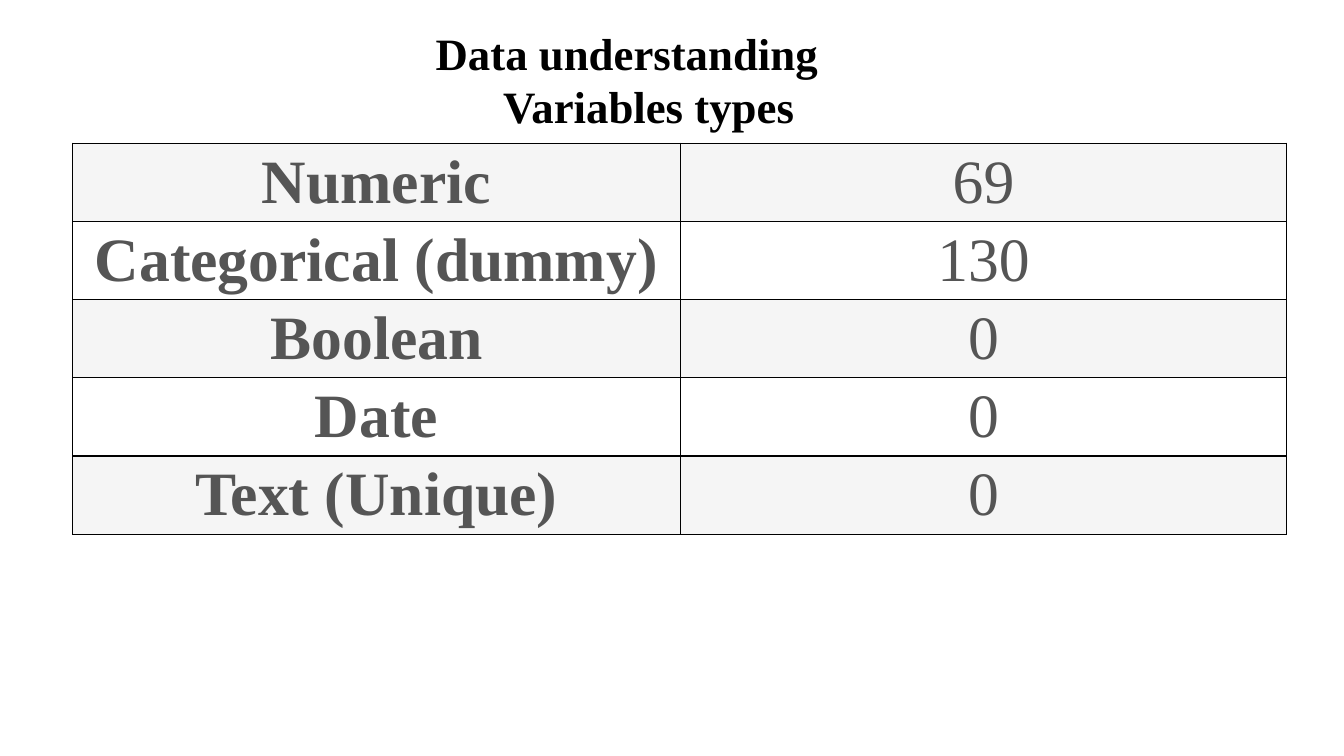
import pptx
import pptx.util
import pptx.dml.color
import pptx.enum.text
import pptx.oxml

Inches = pptx.util.Inches
Pt = pptx.util.Pt
RGB = pptx.dml.color.RGBColor
ALIGN = pptx.enum.text.PP_ALIGN
ANCHOR = pptx.enum.text.MSO_ANCHOR

BLACK = RGB(0x00, 0x00, 0x00)
GREY = RGB(0x55, 0x55, 0x55)
PALE = RGB(0xF5, 0xF5, 0xF5)
WHITE = RGB(0xFF, 0xFF, 0xFF)
FACE = "Times New Roman"
NS = "http://schemas.openxmlformats.org/drawingml/2006/main"

HEADS = [("Data understanding", 1.33), ("Variables types", 2)]
TYPES = [
    ("Numeric", 69),
    ("Categorical (dummy)", 130),
    ("Boolean", 0),
    ("Date", 0),
    ("Text (Unique)", 0),
]


def style(para, size, color, bold):
    """Set the font of a whole paragraph."""
    font = para.font
    font.name, font.size, font.bold = FACE, Pt(size), bold
    font.color.rgb = color


def border(cell):
    """Draw a thin line on all four sides of a cell."""
    props = cell._tc.get_or_add_tcPr()
    for side in "LRTB":
        props.append(pptx.oxml.parse_xml(
            f'<a:ln{side} xmlns:a="{NS}" w="{Pt(1)}"><a:solidFill>'
            f'<a:srgbClr val="{BLACK}"/></a:solidFill></a:ln{side}>'))


def add_title(slide, left, top, width, height):
    """Place the two stepped heading lines in the title placeholder."""
    title = slide.shapes.title
    title.left, title.top = Inches(left), Inches(top)
    title.width, title.height = Inches(width), Inches(height)
    frame = title.text_frame
    frame.word_wrap = True
    frame.auto_size = pptx.enum.text.MSO_AUTO_SIZE.NONE
    frame.vertical_anchor = ANCHOR.TOP
    frame.margin_top = Inches(0.1)
    frame.text = "\n".join(text for text, _ in HEADS)
    for para, (_, indent) in zip(frame.paragraphs, HEADS):
        para.alignment = ALIGN.LEFT
        para.line_spacing = Pt(38)
        para._p.get_or_add_pPr().set("marL", str(Inches(indent)))
        style(para, 32, BLACK, True)


def add_types(slide, left, top, width, height):
    """Place the table of variable types and their counts."""
    frame = slide.shapes.add_table(
        len(TYPES), 2, Inches(left), Inches(top), Inches(width), Inches(height))
    table = frame.table
    table.first_row = table.horz_banding = False
    table.columns[0].width = Inches(6.03)
    table.columns[1].width = Inches(width - 6.03)
    for row, pair in enumerate(TYPES):
        for col, value in enumerate(pair):
            cell = table.cell(row, col)
            border(cell)
            cell.fill.solid()
            cell.fill.fore_color.rgb = WHITE if row % 2 else PALE
            cell.vertical_anchor = ANCHOR.MIDDLE
            cell.margin_top = cell.margin_bottom = Inches(0.01)
            if col:
                cell.margin_left = cell.margin_right = Inches(0.01)
            cell.text = str(value)
            para = cell.text_frame.paragraphs[0]
            para.alignment = ALIGN.CENTER
            style(para, 44, GREY, col == 0)


def main():
    """Build the slide and save it."""
    deck = pptx.Presentation()
    deck.slide_width, deck.slide_height = Inches(13.33), Inches(7.5)
    slide = deck.slides.add_slide(deck.slide_layouts[5])
    add_title(slide, 2.89, 0.16, 6.87, 2.02)
    add_types(slide, 0.72, 1.42, 12.04, 3.88)
    deck.save("out.pptx")


if __name__ == "__main__":
    main()
